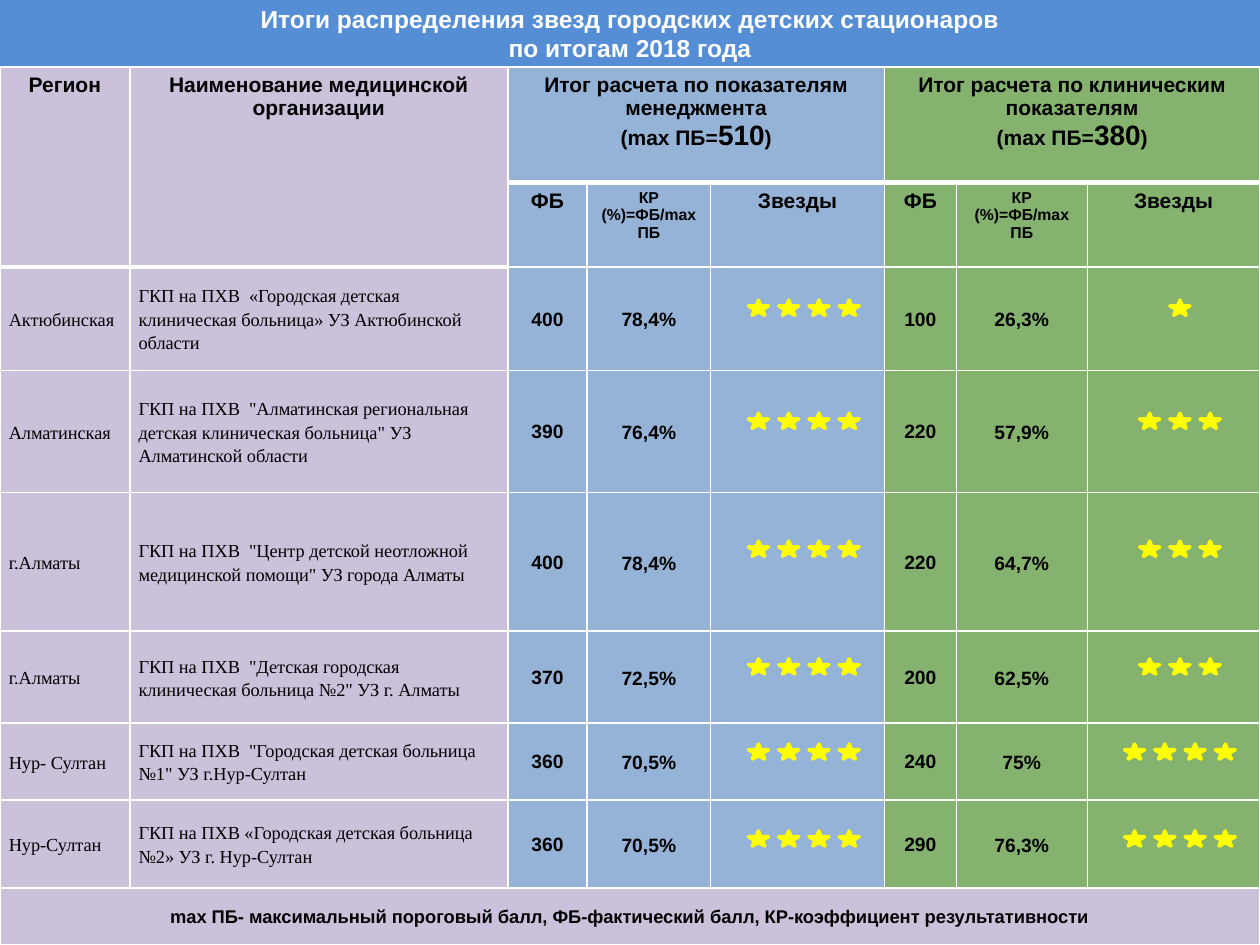
from lxml import etree
from pptx import Presentation
from pptx.dml.color import RGBColor
from pptx.enum.shapes import MSO_SHAPE
from pptx.enum.text import MSO_ANCHOR, PP_ALIGN
from pptx.oxml.ns import qn
from pptx.util import Inches, Pt

RECT, STAR = MSO_SHAPE.RECTANGLE, MSO_SHAPE.STAR_5_POINT
TOP, MIDDLE = MSO_ANCHOR.TOP, MSO_ANCHOR.MIDDLE
LEFT, CENTER = PP_ALIGN.LEFT, PP_ALIGN.CENTER
WHITE = RGBColor(0xFF, 0xFF, 0xFF)
BLACK = RGBColor(0, 0, 0)
TITLE = RGBColor(0x55, 0x8E, 0xD5)
LILAC = RGBColor(0xCC, 0xC1, 0xDA)
BLUE = RGBColor(0x95, 0xB3, 0xD7)
GREEN = RGBColor(0x85, 0xB2, 0x6E)
YELLOW = RGBColor(0xFF, 0xFF, 0)
SANS, SERIF = "Arial", "Times New Roman"
WIDTH, HEIGHT, GRID_TOP = 10, 7.5, 0.53
COLS = [1.03, 3, 0.63, 0.98, 1.38, 0.57, 1.04, 1.37]
ROWS = [0.92, 0.67, 0.82, 0.97, 1.1, 0.73, 0.61, 0.7, 0.45]
FILLS = [LILAC] * 2 + [BLUE] * 3 + [GREEN] * 3
HEAD_PAD, TEXT_PAD, MARK_PAD = (0.1, 0.05, 0.1, 0.05), (0.07, 0, 0.07, 0), (0.01, 0.01, 0.01, 0)
STAR_W, STAR_H, STEP, SHIFT = 0.16, 0.12, 0.24, 0.05
HEADS = [
    (0, 0, 2, 1, ["Регион"]),
    (0, 1, 2, 1, ["Наименование медицинской организации"]),
    (0, 2, 1, 3, ["Итог расчета по показателям менеджмента", ("(mах ПБ=", "510", ")")]),
    (0, 5, 1, 3, ["Итог расчета по клиническим показателям", ("(mах ПБ=", "380", ")")]),
]
SUBHEADS = [("ФБ", 12), ("КР (%)=ФБ/max ПБ", 9), ("Звезды", 12)]
CLINICS = [
    ("Актюбинская", "ГКП на ПХВ  «Городская детская клиническая больница» УЗ Актюбинской области",
     ("400", "78,4%", 4), ("100", "26,3%", 1), 0.32),
    ("Алматинская", "ГКП на ПХВ  \"Алматинская региональная детская клиническая больница\" УЗ Алматинской области",
     ("390", "76,4%", 4), ("220", "57,9%", 3), 0.35),
    ("г.Алматы", "ГКП на ПХВ  \"Центр детской неотложной медицинской помощи\" УЗ города Алматы",
     ("400", "78,4%", 4), ("220", "64,7%", 3), 0.35),
    ("г.Алматы", "ГКП на ПХВ  \"Детская городская клиническая больница №2\" УЗ г. Алматы",
     ("370", "72,5%", 4), ("200", "62,5%", 3), 0.3),
    ("Нур- Султан", "ГКП на ПХВ  \"Городская детская больница №1\" УЗ г.Нур-Султан",
     ("360", "70,5%", 4), ("240", "75%", 4), 0.27),
    ("Нур-Султан", "ГКП на ПХВ «Городская детская больница №2» УЗ г. Нур-Султан",
     ("360", "70,5%", 4), ("290", "76,3%", 4), 0.35),
]


class Board:
    """Draws the title, the score table and the star ratings on one slide."""

    def __init__(self, deck):
        self.slide = deck.slides.add_slide(deck.slide_layouts[6])

    def style(self, para, size, color=BLACK, face=SANS, bold=True, align=CENTER):
        para.alignment = align
        font = para.font
        font.size, font.name, font.bold = Pt(size), face, bold
        font.color.rgb = color

    def title(self, text, share):
        bar = self.slide.shapes.add_shape(RECT, 0, 0, Inches(WIDTH), Inches(HEIGHT * share))
        bar.shadow.inherit = False
        bar.fill.solid()
        bar.fill.fore_color.rgb = TITLE
        bar.line.fill.background()
        frame = bar.text_frame
        frame.word_wrap, frame.vertical_anchor = True, MIDDLE
        frame.text = text
        self.style(frame.paragraphs[0], 14, WHITE)

    def grid(self):
        shape = self.slide.shapes.add_table(
            len(ROWS), len(COLS), 0, Inches(GRID_TOP), Inches(sum(COLS)), Inches(sum(ROWS)))
        self.table = shape.table
        self.table.first_row = self.table.horz_banding = False
        for col, width in zip(self.table.columns, COLS):
            col.width = Inches(width)
        for row, height in zip(self.table.rows, ROWS):
            row.height = Inches(height)
        for row in range(len(ROWS)):
            for col, fill in enumerate(FILLS):
                cell = self.table.cell(row, col)
                self.border(cell, 3 if row == 0 else 1)
                cell.fill.solid()
                cell.fill.fore_color.rgb = LILAC if row == len(ROWS) - 1 else fill

    def border(self, cell, base):
        props = cell._tc.get_or_add_tcPr()
        for side, width in zip("LRTB", (1, 1, 1, base)):
            line = etree.SubElement(props, qn(f"a:ln{side}"), w=str(Pt(width)))
            fill = etree.SubElement(line, qn("a:solidFill"))
            etree.SubElement(fill, qn("a:srgbClr"), val=str(WHITE))

    def merge(self, row, col, down, across):
        self.table.cell(row, col).merge(self.table.cell(row + down - 1, col + across - 1))

    def label(self, row, col, lines, size, pad=HEAD_PAD, anchor=TOP, space=None, **look):
        cell = self.table.cell(row, col)
        cell.vertical_anchor = anchor
        cell.margin_left, cell.margin_top, cell.margin_right, cell.margin_bottom = map(Inches, pad)
        frame = cell.text_frame
        for num, line in enumerate(lines):
            para = frame.add_paragraph() if num else frame.paragraphs[0]
            self.style(para, size, **look)
            if space:
                para.line_spacing = space
            if isinstance(line, str):
                para.text = line
                continue
            for part in line:
                run = para.add_run()
                run.text = part
                run.font.size = Pt(16 if part.isdigit() else size)

    def stars(self, row, col, count, share):
        span = STAR_W + STEP * (count - 1)
        left = sum(COLS[:col]) + (COLS[col] - span) / 2 + SHIFT
        top = GRID_TOP + sum(ROWS[:row]) + ROWS[row] * share
        home = self.slide.shapes
        if count > 1:
            home = home.add_group_shape().shapes
        for num in range(count):
            star = home.add_shape(STAR, Inches(left + STEP * num), Inches(top),
                                  Inches(STAR_W), Inches(STAR_H))
            star.shadow.inherit = False
            star.fill.solid()
            star.fill.fore_color.rgb = star.line.color.rgb = YELLOW
            star.line.width = Pt(2)


def main():
    deck = Presentation()
    deck.slide_width, deck.slide_height = Inches(WIDTH), Inches(HEIGHT)
    board = Board(deck)
    board.title("Итоги распределения звезд городских детских стационаров\vпо итогам 2018 года", 0.07)
    board.grid()
    for row, col, down, across, lines in HEADS:
        board.merge(row, col, down, across)
        board.label(row, col, lines, 12)
    for start in (2, 5):
        for col, (text, size) in enumerate(SUBHEADS, start):
            board.label(1, col, [text], size)
    for row, (region, name, manage, clinic, share) in enumerate(CLINICS, 2):
        for col, text in enumerate((region, name)):
            board.label(row, col, [text], 10.5, TEXT_PAD, MIDDLE, 1.15,
                        face=SERIF, bold=False, align=LEFT)
        for col, (score, rate, count) in ((2, manage), (5, clinic)):
            board.label(row, col, [score], 11, MARK_PAD, MIDDLE)
            board.label(row, col + 1, [rate], 11, TEXT_PAD, MIDDLE, 1.15)
            board.stars(row, col + 2, count, share)
    last = len(ROWS) - 1
    board.merge(last, 0, 1, len(COLS))
    board.label(last, 0, ["mах ПБ- максимальный пороговый балл, ФБ-фактический балл, "
                          "КР-коэффициент результативности"], 10.5, MARK_PAD, MIDDLE)
    deck.save("out.pptx")


if __name__ == "__main__":
    main()
